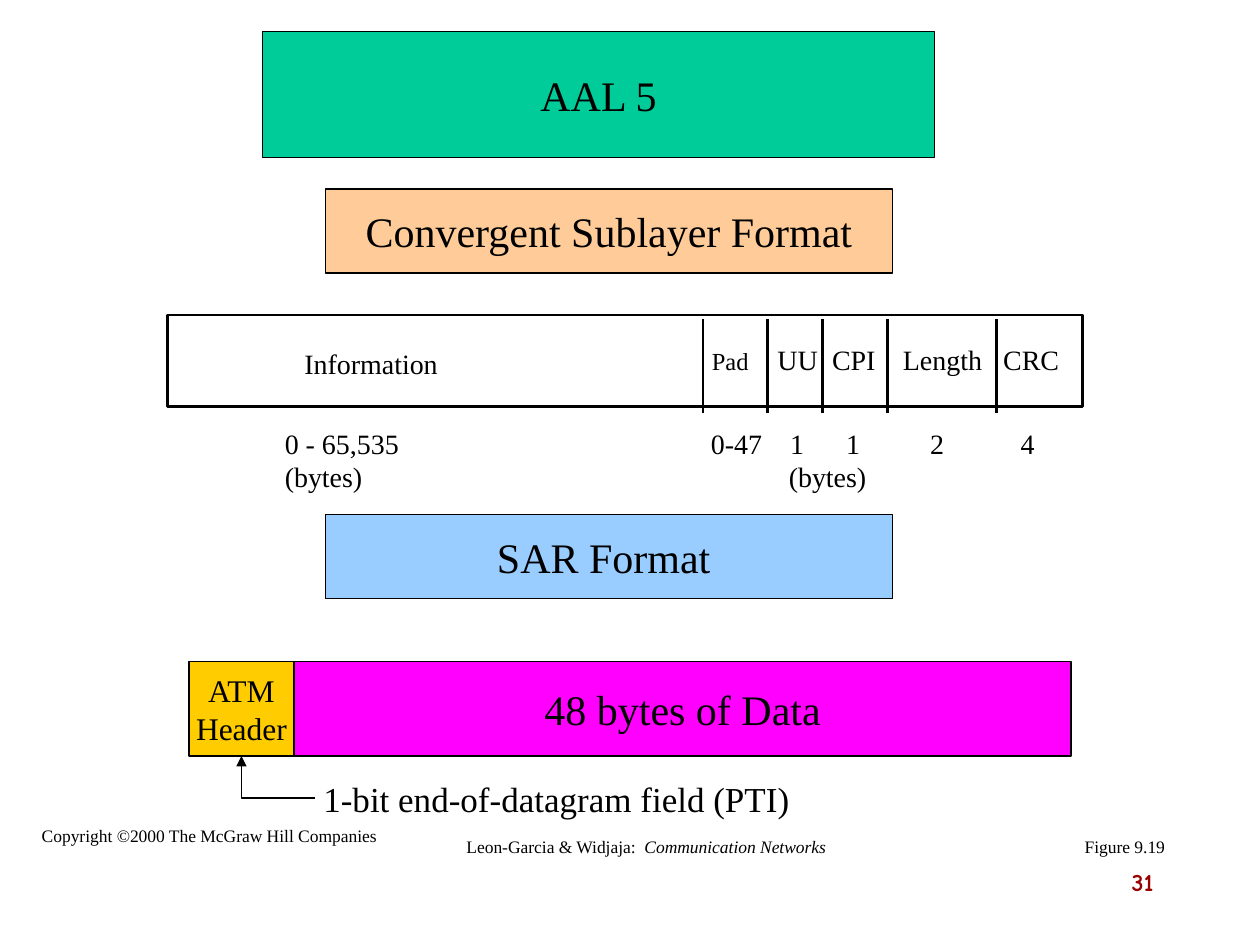
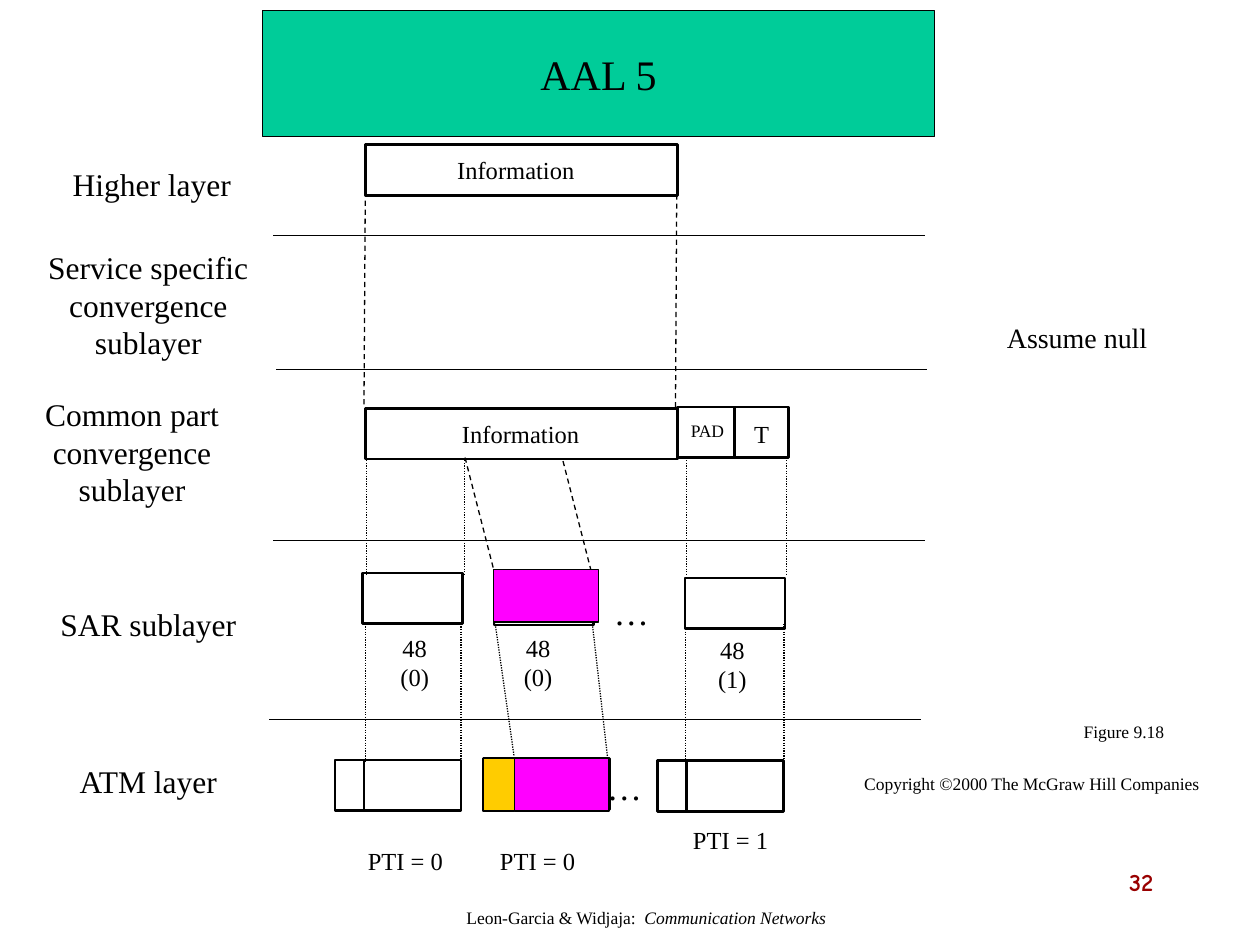
from lxml import etree
from pptx import Presentation
from pptx.dml.color import RGBColor
from pptx.enum.dml import MSO_LINE as Dash
from pptx.enum.shapes import MSO_CONNECTOR as Con, MSO_SHAPE as Kind
from pptx.enum.text import MSO_ANCHOR as Anchor, MSO_AUTO_SIZE as Auto, PP_ALIGN as Align
from pptx.oxml.ns import qn
from pptx.util import Pt

BLACK = RGBColor(0, 0, 0)
GREEN = RGBColor(0x00, 0xCC, 0x99)
PEACH = RGBColor(0xFF, 0xCC, 0x99)
BLUE = RGBColor(0x99, 0xCC, 0xFF)
PINK = RGBColor(0xFF, 0x00, 0xFF)
GOLD = RGBColor(0xFF, 0xCC, 0x00)
RED = RGBColor(0x99, 0, 0)
SERIF, COMIC = "Times New Roman", "Comic Neue"
THIN, THICK = 0.75, 1.5

# Shared by both slides
TITLE = "AAL 5"
BOOK = ("Leon-Garcia & Widjaja:  ", "Communication Networks")
RIGHTS = "Copyright ©2000 The McGraw Hill Companies"

# Format slide: bands are text, size, place, fill
BANDS = [
    ("Convergent Sublayer Format", 24, (186, 108, 324, 48), PEACH),
    ("SAR Format ", 24, (186, 294, 324, 48), BLUE),
    ("48 bytes of Data", 24, (168, 378, 444, 54), PINK),
    ("ATM\nHeader", 18, (108, 378, 60, 54), GOLD),
]
FRAME = (95.75, 180, 522.75, 52.5)
SPLITS = [401.75, 438.75, 470, 507.25, 569.5]
# Text, size, place, tab stops
FIELDS = [
    ("Information", 16, (174, 198, 177, 19.5), []),
    ("Pad", 14, (406.75, 198, 31, 16.5), []),
    ("UU\tCPI\tLength\tCRC", 16, (444.25, 195.75, 170, 19.5), [31.25, 71.75, 129]),
    ("\t0 - 65,535\t0-47\t1\t1\t2\t4", 16, (90.75, 243.5, 538, 19),
     [72, 315.5, 360.75, 392.75, 440.75, 492.5]),
    ("\t(bytes)\t(bytes)", 16, (90.75, 262.5, 538, 19), [72, 360]),
]

# Layer slide: labels are text, size, centre x, centre y, width, lines
LABELS = [
    ("Higher layer", 18, 86.75, 105.25, 104.5, 1),
    ("Service specific convergence sublayer", 18, 84.75, 174, 142.5, 3),
    ("Common part convergence sublayer", 18, 75.5, 258, 136.75, 3),
    ("SAR sublayer", 18, 84.75, 356.5, 154.75, 1),
    ("ATM layer", 18, 84.75, 446.5, 154.75, 1),
    ("Assume null", 16, 615.5, 192.5, 170, 1),
    ("Information", 14, 294.75, 97.25, 159, 1),
    ("Information", 14, 297.5, 247.75, 159, 1),
    ("PAD", 10, 404.25, 246, 34, 1),
    ("T", 14, 435.25, 247.75, 23, 1),
    ("48 (0)", 14, 237, 378.25, 34.5, 2),
    ("48 (0)", 14, 307.5, 378.25, 34.5, 2),
    ("48 (1)", 14, 418.5, 379.5, 34.5, 2),
    ("…", 20, 360.75, 349.25, 34.5, 1),
    ("…", 20, 356.75, 449.25, 38, 1),
    ("PTI = 0", 14, 231.75, 492, 57.5, 1),
    ("PTI = 0", 14, 307.25, 491.75, 57.5, 1),
    ("PTI = 1", 14, 417.5, 480, 57.5, 1),
]
RULES = [(156.25, 134.75), (157.75, 211), (156.25, 309), (154, 411.25)]
RULE_W = 372.25
UNITS = [(208.75, 82.75, 178.5), (208.75, 233.25, 178.5), (387.25, 232.5, 63.25),
         (207.25, 327.5, 57), (282.25, 328.25, 57), (391.5, 330.25, 57)]
UNIT_H = 29
CELLS = [(191.5, 434.25), (276.5, 433.5), (375.75, 434.75)]
CELL_W, HEAD_W = 72, 16.5
TINTS = [((282, 325.5, 60, 30), PINK), ((294, 433.5, 54, 30), PINK),
         ((276, 433.5, 18, 30), GOLD)]
DASHES = [(386.75, 106, 386, 232.5), (208.75, 109.5, 208, 233.25),
          (265.75, 261.5, 283.5, 331), (321.75, 263.5, 338.5, 329)]
DOTS = [(283, 356.5, 293.75, 432), (338.5, 356.5, 347.75, 437.75)]
DOTS += [(x, 261.5, x, 328) for x in (209.5, 265.5, 392.5, 449.25)]
DOTS += [(x, 356.5, x, 436) for x in (208.75, 263.5, 391.75, 448)]


def pts(nums):
    return [Pt(n) for n in nums]


def write(shape, text, size, font=SERIF, color=BLACK, align=Align.CENTER,
          anchor=Anchor.MIDDLE, wrap=False, bold=False):
    frame = shape.text_frame
    frame.text = text
    frame.word_wrap = wrap
    frame.auto_size = Auto.NONE
    frame.vertical_anchor = anchor
    for para in frame.paragraphs:
        para.alignment = align
        for run in para.runs:
            run.font.name, run.font.size = font, Pt(size)
            run.font.color.rgb, run.font.bold = color, bold
    return frame


def paint(shape, fill, width):
    if fill is None:
        shape.fill.background()
    else:
        shape.fill.solid()
        shape.fill.fore_color.rgb = fill
    shape.line.color.rgb = BLACK
    shape.line.width = Pt(width)


def box(slide, place, fill=None, width=THIN):
    shape = slide.shapes.add_shape(Kind.RECTANGLE, *pts(place))
    shape.shadow.inherit = False
    paint(shape, fill, width)
    return shape


def line(slide, ends, width=THIN, dash=None, kind=Con.STRAIGHT):
    con = slide.shapes.add_connector(kind, *pts(ends))
    con.line.color.rgb = BLACK
    con.line.width = Pt(width)
    if dash:
        con.line.dash_style = dash
    etree.SubElement(con.element.spPr, qn("a:effectLst"))
    return con


def label(slide, text, size, mid_x, mid_y, wide, rows=1):
    high = rows * size * 1.2 + 7.2
    place = (mid_x - wide / 2, mid_y - high / 2, wide, high)
    return write(slide.shapes.add_textbox(*pts(place)), text, size, wrap=rows > 1)


def field(slide, text, size, place, stops):
    shape = slide.shapes.add_textbox(*pts(place))
    frame = write(shape, text, size, align=Align.LEFT, anchor=Anchor.TOP, wrap=True)
    frame.margin_left = frame.margin_right = frame.margin_top = frame.margin_bottom = 0
    # Setting the text renews the paragraph, so its tab stops come after
    if stops:
        props = frame.paragraphs[0]._p.get_or_add_pPr()
        tabs = etree.SubElement(props, qn("a:tabLst"))
        for stop in stops:
            etree.SubElement(tabs, qn("a:tab"), pos=str(int(Pt(stop))), algn="l")


def start(deck, top, number, figure, fig_at, book_y, rights_at):
    """Add a slide with its title band, credits and page number."""
    slide = deck.slides.add_slide(deck.slide_layouts[5])
    title = slide.shapes.title
    title.left, title.top, title.width, title.height = pts((150, top, 384, 72))
    paint(title, GREEN, THIN)
    write(title, TITLE, 24)
    label(slide, figure, 10, *fig_at, 60.5)
    label(slide, RIGHTS, 10, *rights_at, 206)
    para = label(slide, BOOK[0], 10, 369.25, book_y, 220).paragraphs[0]
    run = para.add_run()
    run.text = BOOK[1]
    run.font.name, run.font.size, run.font.italic = SERIF, Pt(10), True
    run.font.color.rgb = BLACK
    page = slide.shapes.add_textbox(*pts((516.25, 491.75, 150, 36)))
    write(page, number, 14, COMIC, RED, Align.RIGHT, Anchor.TOP, True, True)
    return slide


def formats(deck):
    slide = start(deck, 18, "31", "Figure 9.19", (642.75, 483.5), 483.5, (119.5, 477.5))
    # Sublayer frame and its fields
    box(slide, FRAME, width=THICK)
    for x in SPLITS:
        line(slide, (x, 182.5, x, 235.75), THICK)
    for item in FIELDS:
        field(slide, *item)
    # Coloured bands
    for text, size, place, fill in BANDS:
        write(box(slide, place, fill), text, size)
    # Pointer from the note up to the header
    label(slide, "1-bit end-of-datagram field (PTI)", 20, 318, 456, 276)
    bend = line(slide, (138, 432, 180, 456), kind=Con.ELBOW)
    props = bend.element.spPr
    props.find(qn("a:prstGeom")).set("prst", "bentConnector2")
    props.find(qn("a:xfrm")).set("rot", "10800000")
    etree.SubElement(props.find(qn("a:ln")), qn("a:tailEnd"), type="triangle")


def layers(deck):
    slide = start(deck, 6, "32", "Figure 9.18", (642.25, 417.75), 524.5, (589.5, 447.5))
    # Rules between the layers, and links between the units
    for x, y in RULES:
        line(slide, (x, y, x + RULE_W, y))
    for ends in DASHES:
        line(slide, ends, dash=Dash.DASH)
    for ends in DOTS:
        line(slide, ends, dash=Dash.ROUND_DOT)
    # Data units, with the trailer split from the pad
    for x, y, wide in UNITS:
        box(slide, (x, y, wide, UNIT_H), width=THICK)
    line(slide, (419.75, 232.5, 419.75, 261.5), THICK)
    # Cells with a header
    for x, y in CELLS:
        box(slide, (x, y, CELL_W, UNIT_H), width=THICK)
        line(slide, (x + HEAD_W, y, x + HEAD_W, y + UNIT_H), THICK)
    for place, fill in TINTS:
        box(slide, place, fill)
    for item in LABELS:
        label(slide, *item)


def main():
    deck = Presentation()
    deck.slide_width, deck.slide_height = Pt(720), Pt(540)
    formats(deck)
    layers(deck)
    deck.save("out.pptx")


if __name__ == "__main__":
    main()
